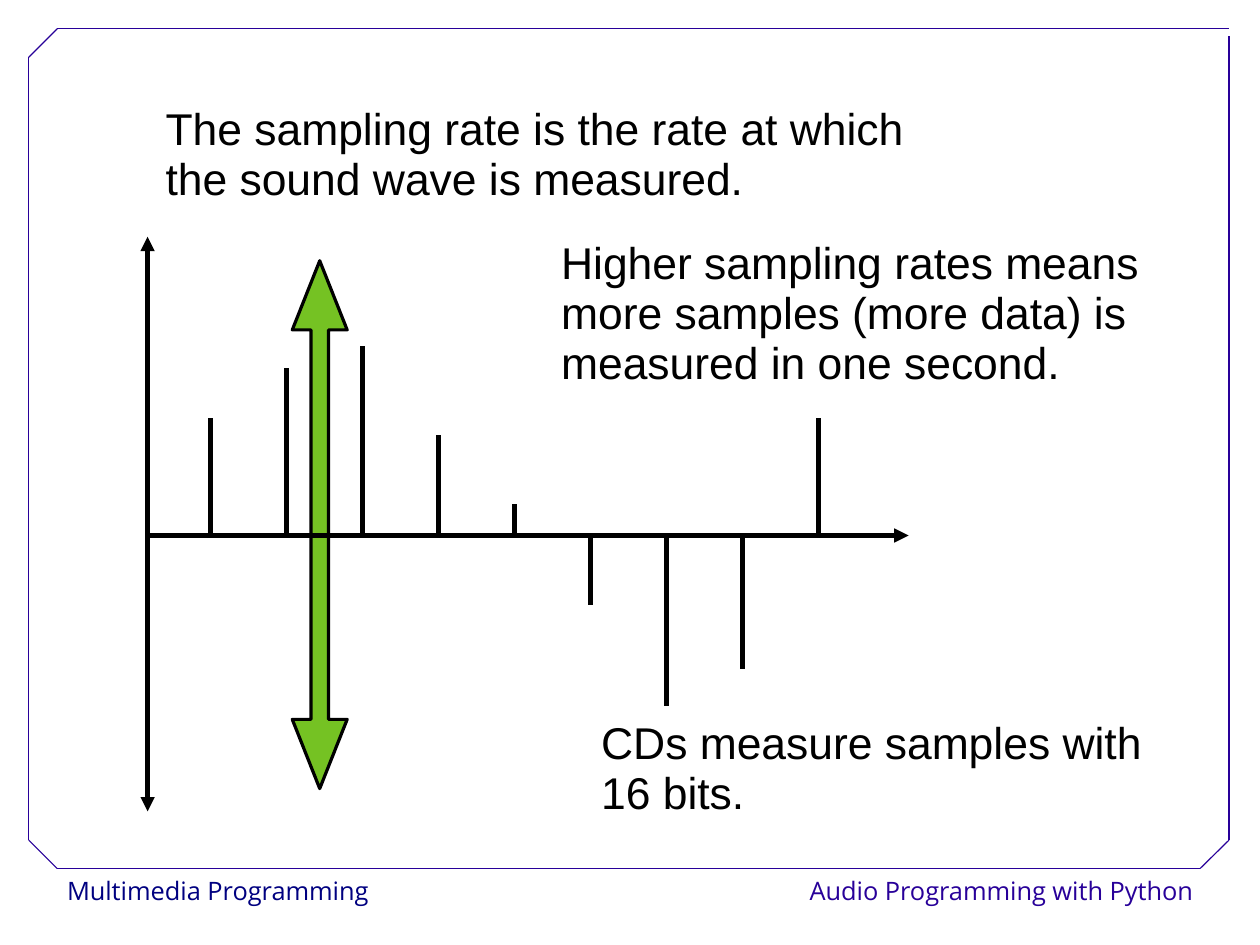
"""Build the slide that explains the sampling rate of a sound wave."""
from dataclasses import dataclass

from lxml import etree
from pptx import Presentation
from pptx.dml.color import RGBColor
from pptx.enum.shapes import MSO_CONNECTOR, MSO_SHAPE
from pptx.enum.text import MSO_ANCHOR, MSO_AUTO_SIZE, PP_ALIGN
from pptx.oxml.ns import qn
from pptx.util import Cm, Pt

STRAIGHT = MSO_CONNECTOR.STRAIGHT
DOUBLE_ARROW = MSO_SHAPE.LEFT_RIGHT_ARROW
TOP, MIDDLE = MSO_ANCHOR.TOP, MSO_ANCHOR.MIDDLE
LEFT, RIGHT = PP_ALIGN.LEFT, PP_ALIGN.RIGHT
NO_AUTOFIT = MSO_AUTO_SIZE.NONE
TITLE_ONLY = 5


@dataclass(frozen=True)
class Theme:
    """Hold the colours, fonts and sizes of the slide."""
    ink: RGBColor = RGBColor(0x00, 0x00, 0x00)
    paper: RGBColor = RGBColor(0xFF, 0xFF, 0xFF)
    navy: RGBColor = RGBColor(0x00, 0x00, 0x80)
    violet: RGBColor = RGBColor(0x28, 0x00, 0x99)
    green: RGBColor = RGBColor(0x75, 0xC2, 0x23)
    body_font: str = "Arial"
    footer_font: str = "Open Sans"
    body_size: float = 28
    footer_size: float = 16
    frame_width: float = 0.75
    arrow_width: float = 2
    axis_width: float = 3


THEME = Theme()
BODY_FRAME = {"margin_left": 0, "margin_right": 0, "margin_top": 0, "margin_bottom": 0,
              "word_wrap": True, "auto_size": NO_AUTOFIT, "vertical_anchor": MIDDLE}
FOOTER_FRAME = {"word_wrap": False, "auto_size": NO_AUTOFIT, "vertical_anchor": TOP}
BODY_PARAGRAPH = {"alignment": LEFT, "line_spacing": 0.93}
BODY_FONT = {"name": THEME.body_font, "size": Pt(THEME.body_size)}
FOOTER_FONT = {"name": THEME.footer_font, "size": Pt(THEME.footer_size)}

FRAME_LINES = (
    ((1.27, 19.3), (26.67, 19.3)),
    ((0.64, 18.67), (0.64, 1.27)),
    ((1.27, 0.64), (27.31, 0.64)),
    ((27.31, 18.67), (27.31, 0.81)),
    ((0.64, 1.27), (1.27, 0.64)),
    ((26.67, 19.3), (27.31, 18.67)),
    ((0.64, 18.67), (1.27, 19.3)),
)
ORIGIN_X, ORIGIN_Y = 3.28, 11.9
FIRST_SAMPLE_X, SAMPLE_STEP = 4.67, 1.69
SAMPLES = (2.62, 3.73, 4.22, 2.24, 0.69, -1.55, -3.78, -2.97, 2.62)


def apply_format(target, values):
    """Set each named attribute on the target."""
    for name, value in values.items():
        setattr(target, name, value)


def place(shape, left, top, width, height):
    """Move and size a shape in centimetres."""
    apply_format(shape, {"left": Cm(left), "top": Cm(top),
                         "width": Cm(width), "height": Cm(height)})


def write_text(shape, text, frame_format, paragraph_format, font_format, color):
    """Write one formatted paragraph into a shape."""
    frame = shape.text_frame
    apply_format(frame, frame_format)
    paragraph = frame.paragraphs[0]
    paragraph.text = text
    apply_format(paragraph, paragraph_format)
    font = paragraph.runs[0].font
    apply_format(font, font_format)
    font.color.rgb = color


def add_statement(slide, text, box):
    """Add a large body statement."""
    statement = slide.shapes.add_textbox(*map(Cm, box))
    write_text(statement, text, BODY_FRAME, BODY_PARAGRAPH, BODY_FONT, THEME.ink)


def add_footer(slide, text, box, alignment, color):
    """Add a footer label on a white ground."""
    footer = slide.shapes.add_textbox(*map(Cm, box))
    footer.fill.solid()
    footer.fill.fore_color.rgb = THEME.paper
    write_text(footer, text, FOOTER_FRAME,
               {"alignment": alignment, "line_spacing": 1.02}, FOOTER_FONT, color)


def add_line(shapes, start, end, color, width, arrow_ends=()):
    """Add a straight line with optional triangle ends."""
    line = shapes.add_connector(STRAIGHT, *map(Cm, (*start, *end)))
    line.line.color.rgb = color
    line.line.width = Pt(width)
    properties = line.element.spPr
    outline = properties.find(qn("a:ln"))
    for arrow_end in arrow_ends:
        etree.SubElement(outline, qn(arrow_end), type="triangle")
    etree.SubElement(properties, qn("a:effectLst"))


def add_frame(slide):
    """Draw the border with its cut corners."""
    border = slide.shapes.add_group_shape()
    for start, end in FRAME_LINES:
        add_line(border.shapes, start, end, THEME.violet, THEME.frame_width)


def add_range_arrow(slide):
    """Draw the green arrow that spans the amplitude range."""
    arrow = slide.shapes.add_shape(DOUBLE_ARROW, Cm(1.24), Cm(11.05), Cm(11.73), Cm(1.22))
    arrow.rotation = 90
    arrow.adjustments[0] = 0.32
    arrow.adjustments[1] = 1.26
    arrow.shadow.inherit = False
    arrow.fill.solid()
    arrow.fill.fore_color.rgb = THEME.green
    arrow.line.color.rgb = THEME.ink
    arrow.line.width = Pt(THEME.arrow_width)


def add_axes(slide):
    """Draw the amplitude and time axes."""
    axes = slide.shapes.add_group_shape()
    add_line(axes.shapes, (ORIGIN_X, 5.26), (ORIGIN_X, 18.03), THEME.ink,
             THEME.axis_width, ("a:headEnd", "a:tailEnd"))
    add_line(axes.shapes, (ORIGIN_X, ORIGIN_Y), (20.19, ORIGIN_Y), THEME.ink,
             THEME.axis_width, ("a:tailEnd",))


def add_samples(slide):
    """Draw the evenly spaced samples of the wave."""
    for index, amplitude in enumerate(SAMPLES):
        x = FIRST_SAMPLE_X + index * SAMPLE_STEP
        add_line(slide.shapes, (x, ORIGIN_Y), (x, ORIGIN_Y - amplitude),
                 THEME.ink, THEME.axis_width)


def main():
    """Assemble and save the slide."""
    deck = Presentation()
    deck.slide_width, deck.slide_height = Cm(28), Cm(21)
    slide = deck.slides.add_slide(deck.slide_layouts[TITLE_ONLY])
    title = slide.shapes.title
    place(title, 3.68, 2.26, 17.53, 2.41)
    write_text(title, "The sampling rate is the rate at which the sound wave is measured.",
               BODY_FRAME, BODY_PARAGRAPH, BODY_FONT, THEME.ink)
    add_footer(slide, "Multimedia Programming", (1.24, 19.3, 7.3, 1.02), LEFT, THEME.navy)
    add_footer(slide, "Audio Programming with Python", (17.47, 19.3, 9.3, 1.02),
               RIGHT, THEME.violet)
    add_frame(slide)
    add_statement(slide, "CDs measure samples with 16 bits.", (13.36, 15.29, 12.29, 3.63))
    add_range_arrow(slide)
    add_axes(slide)
    add_samples(slide)
    add_statement(slide, "Higher sampling rates means more samples (more data) "
                  "is measured in one second.", (12.47, 5.23, 12.98, 3.53))
    deck.save("out.pptx")


if __name__ == "__main__":
    main()
